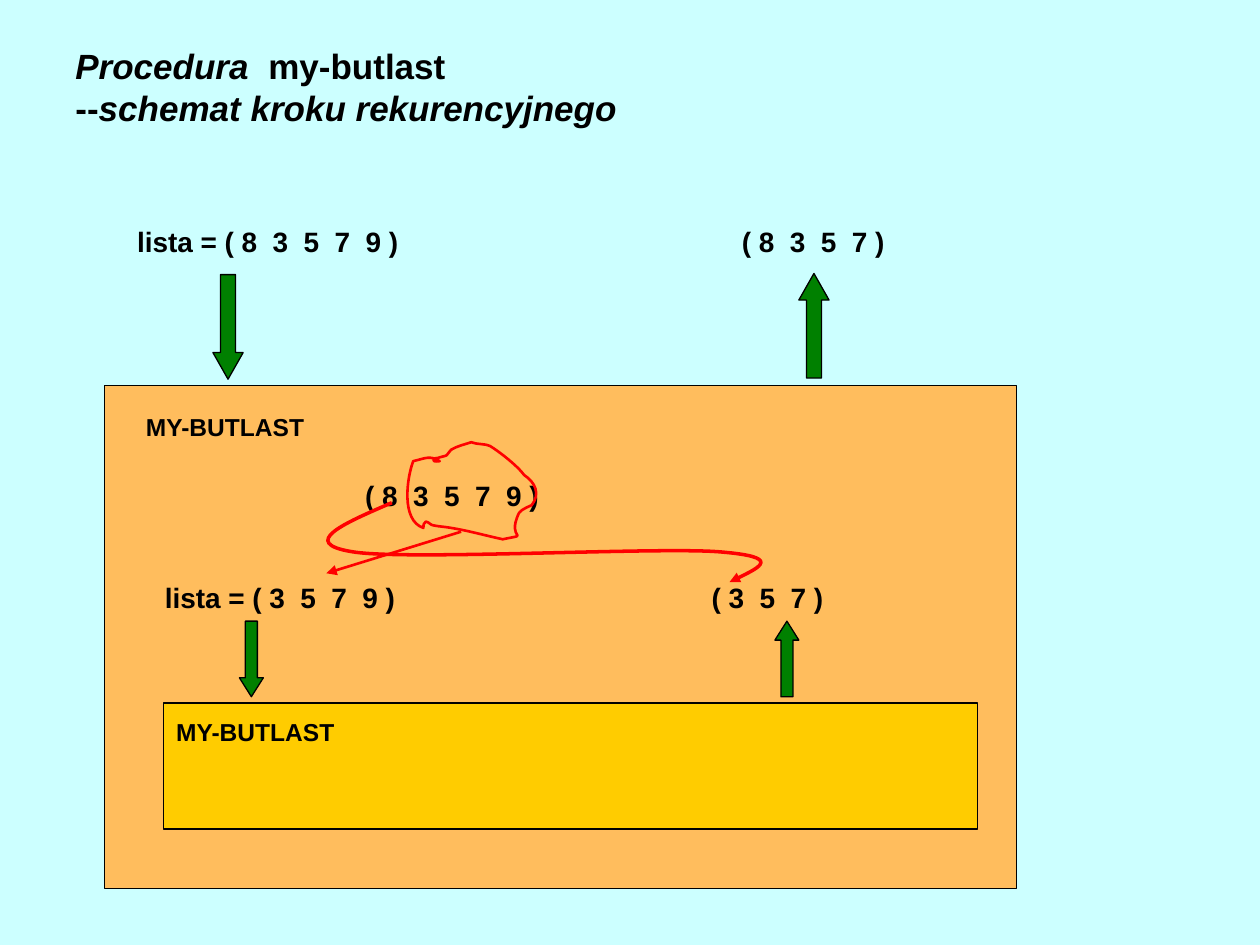
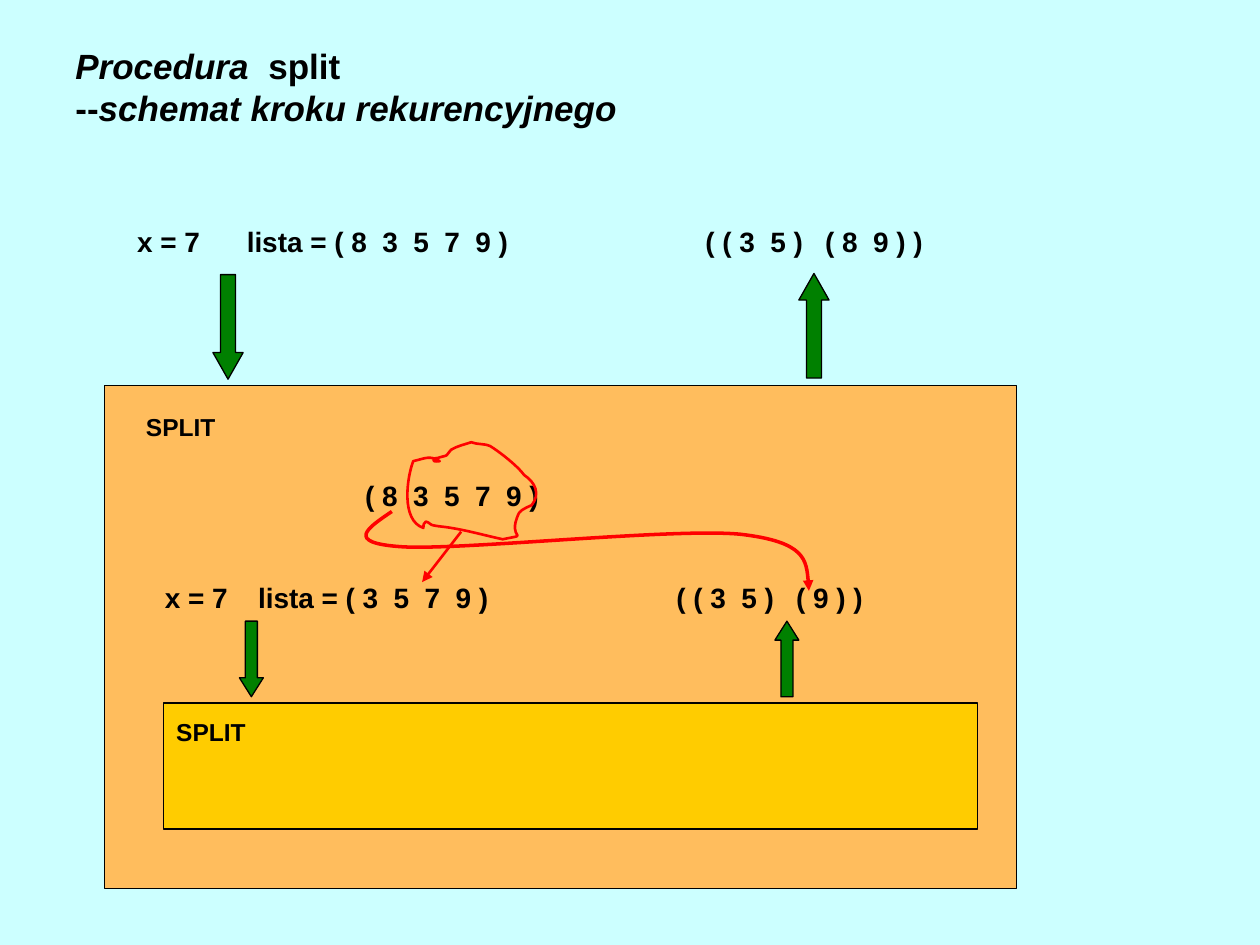
from dataclasses import dataclass

from lxml import etree
from pptx import Presentation
from pptx import util as u
from pptx.dml import color
from pptx.enum import shapes, text
from pptx.oxml import ns


@dataclass(frozen=True)
class Theme:
    back: str = "CCFFFF"
    outer: str = "FFBD5D"
    inner: str = "FFCC00"
    green: str = "008000"
    red: str = "FF0000"
    ink: str = "000000"
    font: str = "Arial"
    title: int = 20
    list: int = 16
    label: int = 14
    edge: float = 0.75
    thin: float = 1.5
    thick: float = 2


T = Theme()

# Texts are (left, width, words, tab stop); a curve is a start and its Bezier triples.
STEPS = [
    {
        "name": "my-butlast",
        "label": 1.46,
        "calls": [(0.99, 2.36, "lista = ( 8  3  5  7  9 )", None),
                  (5.79, 1.35, "( 8  3  5  7 )", None)],
        "inner": [(1.21, 2.11, "lista = ( 3  5  7  9 )", None),
                  (5.55, 1.11, "( 3  5  7 )", None)],
        "tail": (2.59, 4.55),
        "head": [(3.11, 3.99),
                 (2.74, 4.15), (2.36, 4.31), (2.8, 4.38),
                 (3.23, 4.45), (5.21, 4.34), (5.71, 4.38),
                 (6.21, 4.42), (6, 4.52), (5.79, 4.62)],
    },
    {
        "name": "split",
        "label": 0.75,
        "calls": [(0.99, 3.22, "x = 7\tlista = ( 8  3  5  7  9 )", 0.87),
                  (5.5, 1.97, "( ( 3  5 )\t( 8  9 ) )", 0.95)],
        "inner": [(1.21, 2.85, "x = 7\tlista = ( 3  5  7  9 )", 0.74),
                  (5.27, 1.73, "( ( 3  5 )\t( 9 ) )", 0.95)],
        "tail": (3.35, 4.62),
        "head": [(3.11, 4.06),
                 (2.92, 4.19), (2.73, 4.31), (3.19, 4.34),
                 (3.65, 4.37), (5.33, 4.19), (5.87, 4.24),
                 (6.4, 4.3), (6.41, 4.5), (6.42, 4.69)],
    },
]
WHOLE = (2.8, 1.66, "( 8  3  5  7  9 )", None)
BOXES = [((0.83, 3.06, 7.24, 3.99), T.outer), ((1.3, 5.58, 6.46, 1), T.inner)]
# Each arrow: place, head length, turn
ARROWS = [((1.69, 2.18, 0.24, 0.83), 0.88, 0), ((6.34, 2.17, 0.24, 0.83), 0.88, 180),
          ((1.9, 4.93, 0.19, 0.6), 0.79, 0), ((6.15, 4.93, 0.19, 0.6), 0.79, 180)]
LOOP = [(3.49, 3.66),
        (3.41, 3.61), (3.37, 3.64), (3.28, 3.66),
        (3.23, 3.79), (3.18, 4.13), (3.36, 4.19),
        (3.36, 4.17), (3.36, 4.15), (3.38, 4.14),
        (3.4, 4.14), (3.42, 4.17), (3.44, 4.17),
        (3.49, 4.18), (3.53, 4.18), (3.58, 4.19),
        (3.71, 4.21), (3.85, 4.25), (3.99, 4.28),
        (4.23, 4.23), (4.01, 4.3), (4.12, 4.07),
        (4.14, 4.04), (4.22, 4.01), (4.22, 4.01),
        (4.29, 3.92), (4.25, 3.83), (4.16, 3.77),
        (4.11, 3.7), (3.97, 3.59), (3.89, 3.54),
        (3.85, 3.52), (3.79, 3.53), (3.74, 3.51),
        (3.68, 3.53), (3.63, 3.54), (3.58, 3.57),
        (3.53, 3.63), (3.56, 3.61), (3.49, 3.63),
        (3.48, 3.64), (3.44, 3.63), (3.44, 3.65),
        (3.44, 3.67), (3.48, 3.66), (3.49, 3.66)]
TAIL = (3.66, 4.22)


def inch(vals):
    return [u.Inches(v) for v in vals]


def rgb(code):
    return color.RGBColor.from_string(code)


def style(item, **vals):
    for key, val in vals.items():
        setattr(item, key, val)


def stroke(line, hue, wide):
    line.color.rgb = rgb(hue)
    line.width = u.Pt(wide)


def tip(part):
    """Put an arrowhead at the end of a line."""
    edge = part.line._get_or_add_ln()
    etree.SubElement(edge, ns.qn("a:tailEnd"), type="triangle")


def write(para, words, size, slant=False):
    run = para.add_run()
    run.text = words
    style(run.font, name=T.font, size=u.Pt(size), bold=True, italic=slant)
    run.font.color.rgb = rgb(T.ink)


def frame(slide, place, **vals):
    """Add an empty text box and return its first paragraph."""
    body = slide.shapes.add_textbox(*inch(place)).text_frame
    style(body, **vals)
    return body.paragraphs[0]


def note(slide, top, item, size=T.list, high=0.37):
    left, wide, words, stop = item
    para = frame(slide, (left, top, wide, high), word_wrap=False,
                 auto_size=text.MSO_AUTO_SIZE.SHAPE_TO_FIT_TEXT)
    if stop:
        tabs = etree.SubElement(para._p.get_or_add_pPr(), ns.qn("a:tabLst"))
        etree.SubElement(tabs, ns.qn("a:tab"), pos=str(u.Inches(stop)), algn="l")
    write(para, words, size)


def block(slide, kind, place, hue):
    part = slide.shapes.add_shape(kind, *inch(place))
    part.shadow.inherit = False
    part.fill.solid()
    part.fill.fore_color.rgb = rgb(hue)
    stroke(part.line, T.ink, T.edge)
    return part


def bend(part):
    """Turn each three line segments of a freeform into one Bezier arc."""
    segs = list(part._element.iter(ns.qn("a:lnTo")))
    for i in range(0, len(segs), 3):
        arc = etree.Element(ns.qn("a:cubicBezTo"))
        segs[i].addprevious(arc)
        for seg in segs[i:i + 3]:
            arc.append(seg[0])
            seg.getparent().remove(seg)


def curve(slide, dots, wide, close=False):
    pen = slide.shapes.build_freeform(*inch(dots[0]))
    pen.add_line_segments([inch(dot) for dot in dots[1:]], close=close)
    part = pen.convert_to_shape()
    bend(part)
    part.shadow.inherit = False
    part.fill.background()
    stroke(part.line, T.red, wide)
    return part


def straight(slide, start, end):
    part = slide.shapes.add_connector(shapes.MSO_CONNECTOR.STRAIGHT, *inch(start + end))
    etree.SubElement(part._element.spPr, ns.qn("a:effectLst"))
    stroke(part.line, T.red, T.thin)
    tip(part)


def title(slide, name):
    para = frame(slide, (0.5, 0.3, 9, 0.77), word_wrap=True,
                 vertical_anchor=text.MSO_ANCHOR.MIDDLE)
    write(para, "Procedura  ", T.title, True)
    write(para, name, T.title)
    para.add_line_break()
    write(para, "--", T.title)
    write(para, "schemat kroku rekurencyjnego", T.title, True)


def draw(slide, step):
    slide.background.fill.solid()
    slide.background.fill.fore_color.rgb = rgb(T.back)
    title(slide, step["name"])
    for place, hue in BOXES:
        block(slide, shapes.MSO_SHAPE.RECTANGLE, place, hue)
    for place, head, turn in ARROWS:
        part = block(slide, shapes.MSO_SHAPE.DOWN_ARROW, place, T.green)
        part.adjustments[1] = head
        part.rotation = turn
    for left, top in [(1.06, 3.22), (1.3, 5.64)]:
        note(slide, top, (left, step["label"], step["name"].upper(), None), T.label, 0.34)
    for top, row in [(1.73, step["calls"]), (3.75, [WHOLE]), (4.56, step["inner"])]:
        for item in row:
            note(slide, top, item)
    curve(slide, LOOP, T.thin, close=True)
    straight(slide, TAIL, step["tail"])
    tip(curve(slide, step["head"], T.thick))


def main():
    deck = Presentation()
    style(deck, slide_width=u.Inches(10), slide_height=u.Inches(7.5))
    for step in STEPS:
        draw(deck.slides.add_slide(deck.slide_layouts[6]), step)
    deck.save("out.pptx")


if __name__ == "__main__":
    main()
